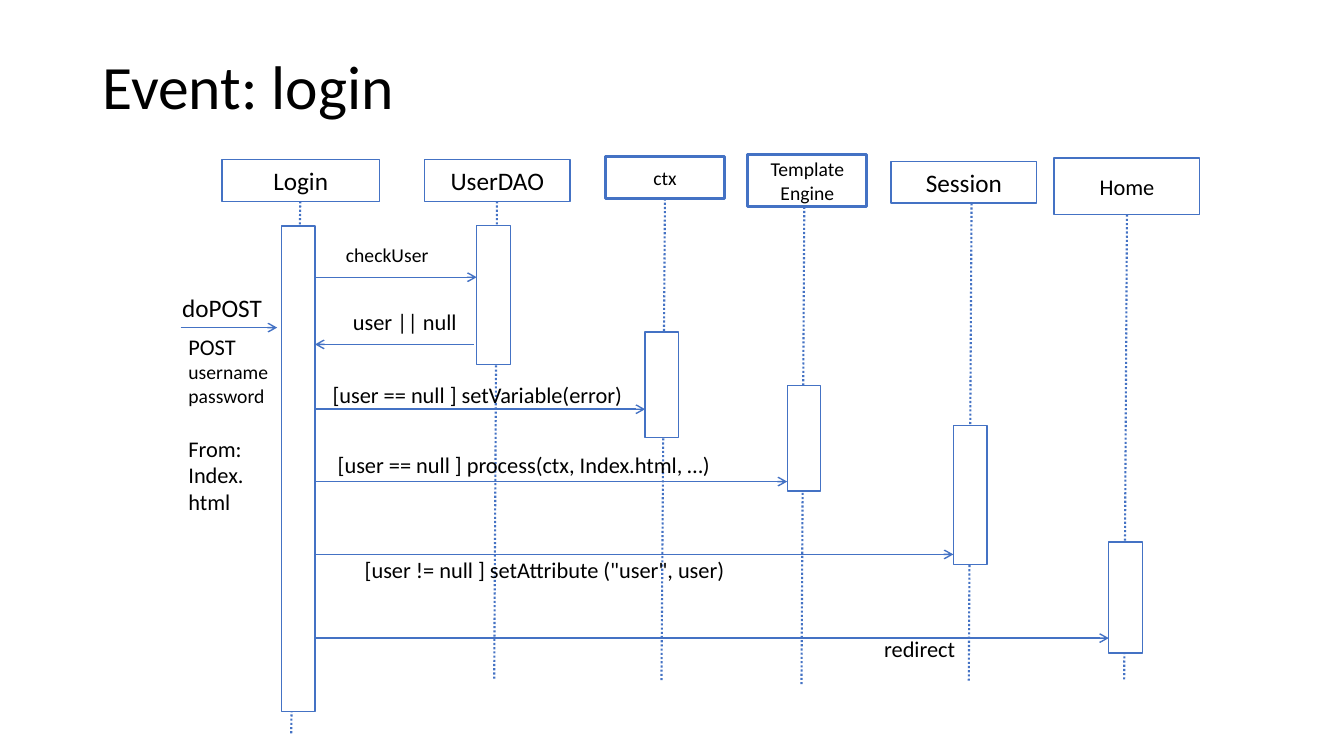
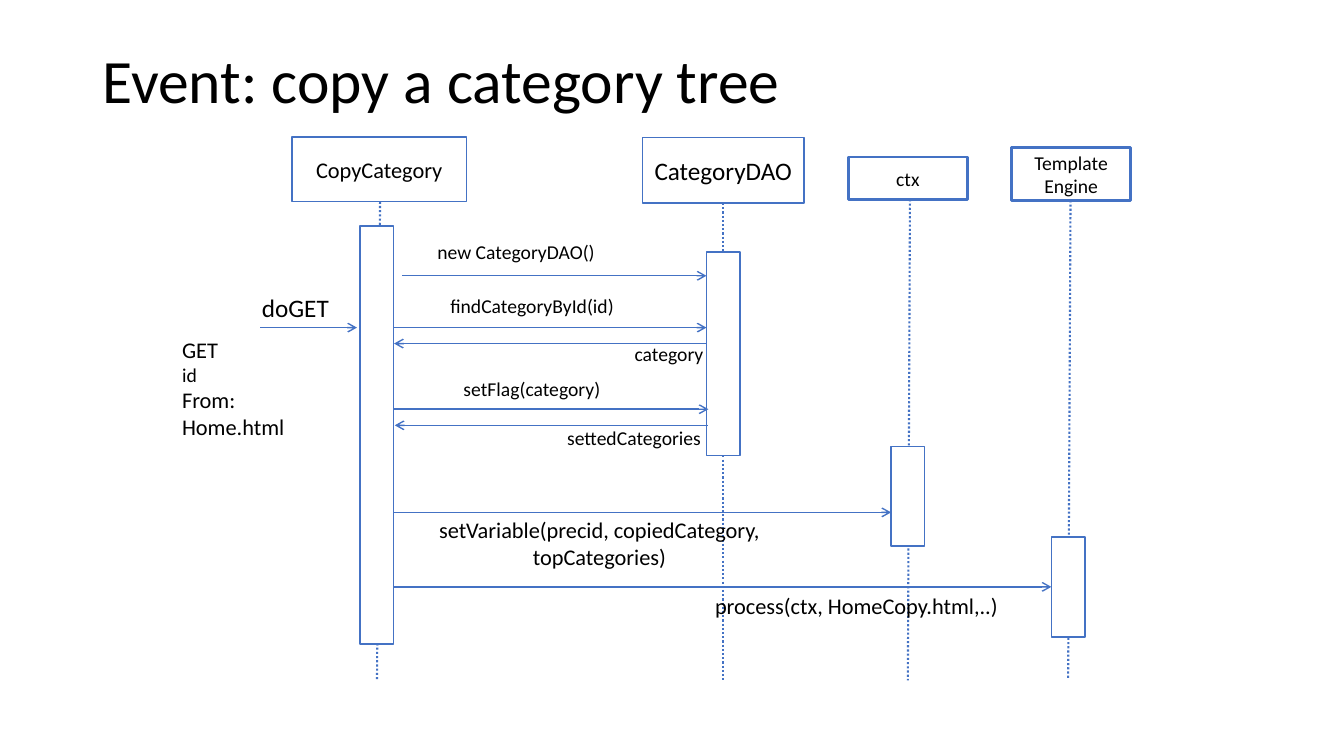
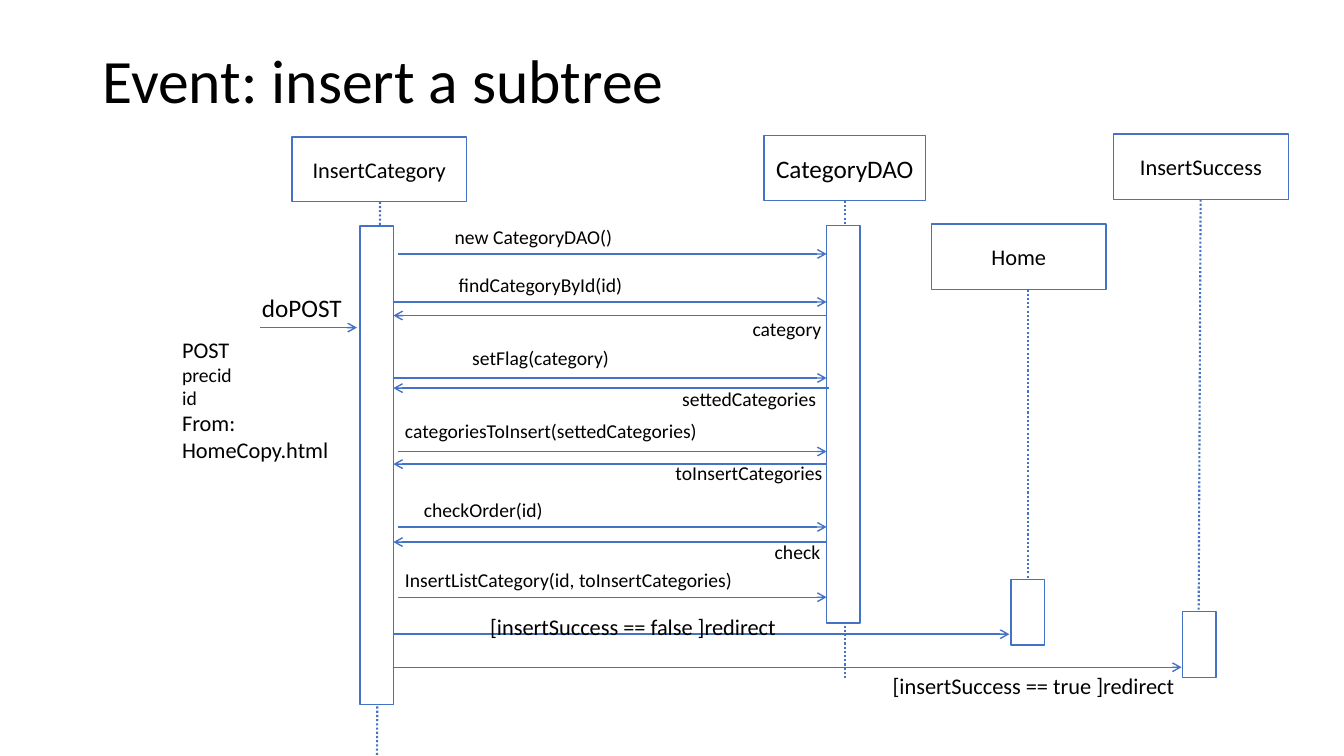
from lxml.etree import SubElement
from pptx import Presentation
from pptx.dml.color import RGBColor
from pptx.enum.dml import MSO_LINE as Dash
from pptx.enum.shapes import MSO_CONNECTOR as Link, MSO_SHAPE as Kind
from pptx.enum.text import MSO_ANCHOR as Anchor, PP_ALIGN as Align
from pptx.oxml.ns import qn
from pptx.util import Pt

BLUE = RGBColor(0x44, 0x72, 0xC4)
WHITE = RGBColor(0xFF, 0xFF, 0xFF)
BLACK = RGBColor(0x00, 0x00, 0x00)
FONT = "Calibri"
LEFT, MID = Align.LEFT, Align.CENTER
CALL_Y = 234


def write(para, text, size, align=LEFT):
    """Fill a paragraph run by run; a newline becomes a line break."""
    para.alignment = align
    for i, part in enumerate(text.split("\n")):
        if i:
            para.add_line_break()
        run = para.add_run()
        run.text = part
        run.font.name = FONT
        run.font.size = Pt(size)
        run.font.color.rgb = BLACK


def new_slide(deck, text, height):
    slide = deck.slides.add_slide(deck.slide_layouts[5])
    title = slide.shapes.title
    title.left, title.top = Pt(66), Pt(28.75)
    title.width, title.height = Pt(828), Pt(height)
    frame = title.text_frame
    frame.vertical_anchor = Anchor.MIDDLE
    para = frame.paragraphs[0]
    para.line_spacing = 0.9
    write(para, text, 44)
    return slide


def box(slide, rect, weight=1):
    shape = slide.shapes.add_shape(Kind.RECTANGLE, *map(Pt, rect))
    shape.shadow.inherit = False
    shape.fill.solid()
    shape.fill.fore_color.rgb = WHITE
    shape.line.color.rgb = BLUE
    shape.line.width = Pt(weight)
    return shape


def line(slide, x1, y1, x2, y2, weight=1):
    wire = slide.shapes.add_connector(Link.STRAIGHT, Pt(x1), Pt(y1), Pt(x2), Pt(y2))
    wire.line.color.rgb = BLUE
    wire.line.width = Pt(weight)
    SubElement(wire._element.spPr, qn("a:effectLst"))
    return wire


def role(slide, name, size, head, life, bar, weight=1):
    """Draw a participant: head box, dotted lifeline (x1, x2, end y), bar."""
    x1, x2, end = life
    dots = line(slide, x1, head[1] + head[3], x2, end, 1.5)
    dots.line.dash_style = Dash.ROUND_DOT
    frame = box(slide, head, weight).text_frame
    frame.word_wrap = True
    frame.vertical_anchor = Anchor.MIDDLE
    write(frame.paragraphs[0], name, size, MID)
    box(slide, bar)


def arrow(slide, x1, x2, y):
    wire = line(slide, x1, y, x2, y)
    SubElement(wire.line._get_or_add_ln(), qn("a:tailEnd"), type="arrow")


def area(slide, x, y, width, height, wrap):
    frame = slide.shapes.add_textbox(Pt(x), Pt(y), Pt(width), Pt(height)).text_frame
    frame.word_wrap = wrap
    return frame


def label(slide, text, x, y, width, size=14, align=LEFT):
    frame = area(slide, x, y, width, size * 1.2 + 7.2, False)
    write(frame.paragraphs[0], text, size, align)


def note(slide, rows, x, y, width, height, align=LEFT):
    """Add a wrapped block with one paragraph per (text, size, space before)."""
    frame = area(slide, x, y, width, height, True)
    for i, (text, size, gap) in enumerate(rows):
        para = frame.add_paragraph() if i else frame.paragraphs[0]
        para.space_before = Pt(gap)
        write(para, text, size, align)


def request(slide, verb, x):
    """Draw the incoming call with its verb above the arrow."""
    arrow(slide, x, x + 69, CALL_Y)
    label(slide, verb, x - 6, 205, 72, 18)


def fill(slide, roles, arrows, labels):
    for item in roles:
        role(slide, *item)
    for item in arrows:
        arrow(slide, *item)
    for item in labels:
        label(slide, *item)


def login(deck):
    slide = new_slide(deck, "Event: login", 70.5)
    fill(slide, [
        ("Login", 18, (158.5, 113.8, 112.5, 30), (214.5, 208, 525),
         (201, 161.3, 24, 347)),
        ("UserDAO", 18, (303.2, 113.8, 104, 30), (355, 353, 486),
         (340.5, 161.3, 24, 99.2)),
        ("ctx", 14, (432.5, 111.6, 85, 30.2), (475, 472.5, 486),
         (460.8, 237, 24, 75.5), 2),
        ("Template\nEngine", 14, (534.2, 110.2, 85, 37.5), (574.5, 572.5, 490),
         (562.3, 275.2, 24, 75.5), 2),
        ("Session", 18, (636.5, 115.2, 104, 30), (694, 692, 487.5),
         (681, 303.9, 24, 99.2)),
        ("Home", 16, (753, 113, 104, 40.3), (805, 803, 485.5),
         (792, 387.3, 24, 79.2)),
    ], [
        (225, 340.5, 198), (338.5, 225, 246), (225, 460.8, 292.3),
        (225, 562.3, 344), (225, 681, 396), (225, 792, 455.8),
    ], [
        ("checkUser", 240, 170, 74),
        ("user || null", 245, 216.8, 89, 16),
        ("[user == null ] setVariable(error)", 225, 268.5, 232, 16, MID),
        ("[user == null ] process(ctx, Index.html, …)", 228.2, 319, 292, 16, MID),
        ('[user != null ] setAttribute ("user", user)', 236, 394, 306, 16, MID),
        ("redirect", 620.6, 450, 72.7, 16, MID),
    ])
    request(slide, "doPOST", 129)
    note(slide, [("POST", 16, 0), ("username", 14, 0), ("password", 14, 0),
                 ("From: Index.\nhtml", 16, 19.5)], 127.5, 234.7, 72.7, 138)


def copy_tree(deck):
    slide = new_slide(deck, "Event: copy a category tree", 61.2)
    fill(slide, [
        ("CopyCategory", 16, (208.5, 97.9, 124.8, 46.2), (271.5, 269.3, 486),
         (257.2, 161.3, 24, 298.8)),
        ("CategoryDAO", 18, (459, 98.2, 115.2, 46.8), (516.3, 516.3, 486),
         (504.6, 180, 24, 145.4)),
        ("ctx", 14, (606, 112.2, 85, 30.2), (650, 648.5, 486),
         (636.5, 318.8, 24, 71.3), 2),
        ("Template\nEngine", 14, (722.6, 105.6, 85, 37.5), (764.7, 763, 485),
         (751, 383.7, 24, 71.3), 2),
    ], [
        (287.2, 504.6, 197), (281.5, 504.6, CALL_Y), (504.6, 281.5, 245.4),
        (281.5, 506, 292.3), (505.5, 282, 303.8), (281.5, 636.5, 366),
        (281.5, 751, 419.2),
    ], [
        ("new CategoryDAO()", 305.3, 168, 128),
        ("findCategoryById(id)", 314.6, 206.2, 132.5),
        ("category", 446.2, 240.5, 64),
        ("setFlag(category)", 324, 265.7, 113),
        ("settedCategories", 398, 300.4, 111.6),
        ("process(ctx, HomeCopy.html,..)", 502, 419.2, 219.6, 16, MID),
    ])
    request(slide, "doGET", 186)
    note(slide, [("GET", 16, 0), ("id", 14, 0), ("From:", 16, 0),
                 ("Home.html", 16, 0)], 123, 236.2, 141, 82)
    note(slide, [("setVariable(precid, copiedCategory,", 16, 0),
                 ("topCategories)", 16, 0)], 284.5, 365, 287.3, 46, MID)


def insert(deck):
    slide = new_slide(deck, "Event: insert a subtree", 61.2)
    near, dao = 281, 590.4
    fill(slide, [
        ("InsertCategory", 16, (208.5, 97.9, 124.8, 46.2), (271.5, 269.3, 540),
         (257.2, 161.3, 24, 342)),
        ("CategoryDAO", 18, (545.8, 96.6, 115.2, 46.8), (603.4, 603.4, 484.5),
         (dao, 161.3, 24, 283.7)),
        ("InsertSuccess", 16, (795.4, 95.7, 124.8, 46.8), (857.6, 856, 484.5),
         (844.6, 437, 24, 46.8)),
        ("Home", 16, (665.3, 160, 124.8, 46.8), (734.4, 734.4, 460.8),
         (722.2, 414, 24, 46.8)),
    ], [
        (284.4, dao, 181.4), (near, dao, 215.7), (dao, near, 225.4),
        (near, dao, 270), (592, near, 277.2),
        (284.4, dao, 322.5), (dao, near, 331.5),
        (284.4, dao, 376.4), (dao, near, 387.2), (284.4, dao, 426.6),
        (near, 721, 453), (near, 844, 476.6),
    ], [
        ("new CategoryDAO()", 317.7, 157.2, 128),
        ("findCategoryById(id)", 320.6, 191.4, 132.5),
        ("category", 530.5, 223, 64),
        ("setFlag(category)", 330.2, 243.5, 113),
        ("settedCategories", 480.2, 272.9, 111.6),
        ("categoriesToInsert(settedCategories)", 282.2, 296, 226),
        ("toInsertCategories", 475.4, 326, 121),
        ("checkOrder(id)", 295.7, 352.2, 100),
        ("check", 546.3, 382, 49),
        ("InsertListCategory(id, toInsertCategories)", 282.2, 402, 251.3),
        ("[insertSuccess == false ]redirect", 331.5, 434.5, 241.2, 16, MID),
        ("[insertSuccess == true ]redirect", 617.6, 476.6, 241.2, 16, MID),
    ])
    request(slide, "doPOST", 186)
    note(slide, [("POST", 16, 0), ("precid", 14, 0), ("id", 14, 0),
                 ("From:", 16, 0), ("HomeCopy.html", 16, 0)], 123, 236.2, 141, 99.4)


def main():
    deck = Presentation()
    deck.slide_width, deck.slide_height = Pt(960), Pt(540)
    for build in (login, copy_tree, insert):
        build(deck)
    deck.save("out.pptx")


if __name__ == "__main__":
    main()
